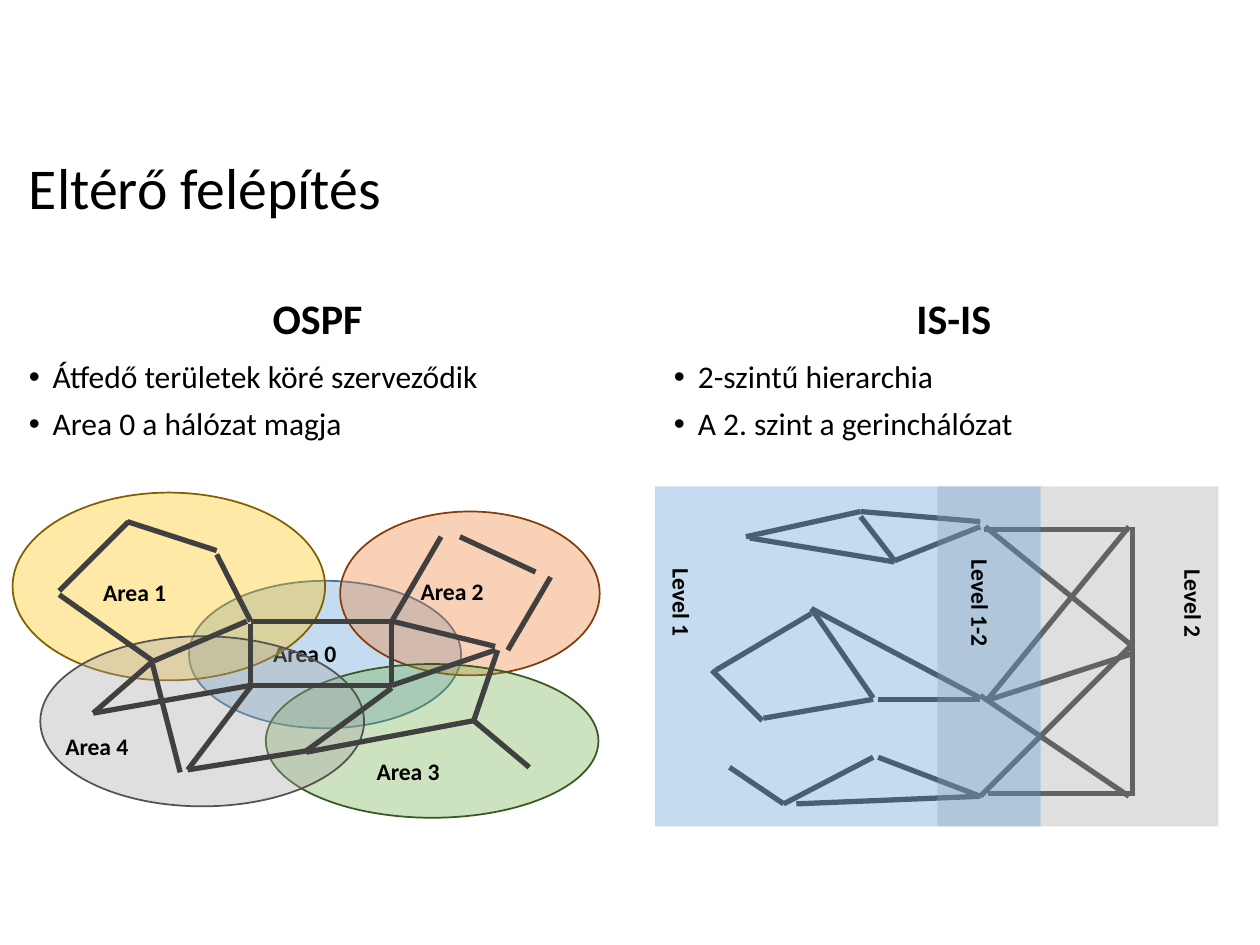
from lxml.etree import SubElement
from pptx import Presentation
from pptx.dml.color import RGBColor
from pptx.enum.shapes import MSO_CONNECTOR, MSO_SHAPE
from pptx.enum.text import MSO_ANCHOR, MSO_AUTO_SIZE, PP_ALIGN
from pptx.oxml.ns import qn
from pptx.util import Pt

PX = 9144
FONT = "Calibri"
OPACITY = 35

BLACK = RGBColor(0x00, 0x00, 0x00)
LINK = RGBColor(0x40, 0x40, 0x40)
BLUE = RGBColor(0x5B, 0x9B, 0xD5)
DARK_BLUE = RGBColor(0x43, 0x73, 0x9E)
YELLOW = RGBColor(0xFF, 0xC0, 0x00)
DARK_YELLOW = RGBColor(0x80, 0x60, 0x00)
ORANGE = RGBColor(0xED, 0x7D, 0x31)
DARK_ORANGE = RGBColor(0x84, 0x3C, 0x0B)
GREEN = RGBColor(0x70, 0xAD, 0x47)
DARK_GREEN = RGBColor(0x38, 0x57, 0x23)
GREY = RGBColor(0xA5, 0xA5, 0xA5)
DARK_GREY = RGBColor(0x52, 0x52, 0x52)

TITLE_STYLE = {"size": Pt(33), "bold": False}
HEADING_STYLE = {"size": Pt(24), "bold": True}
BULLET_STYLE = {"size": Pt(18), "bold": False}
LABEL_STYLE = {"size": Pt(13.5), "bold": True}

TITLE = "Eltérő felépítés"
COLUMNS = [
    (13, 478, "OSPF", ["Átfedő területek köré szerveződik", "Area 0 a hálózat magja"]),
    (525, 464, "IS-IS", ["2-szintű hierarchia", "A 2. szint a gerinchálózat"]),
]

AREAS = [
    ("Area 0", (150, 461, 216, 117), BLUE, DARK_BLUE, (207, 502)),
    ("Area 1", (10, 391, 248, 149), YELLOW, DARK_YELLOW, (72, 454)),
    ("Area 2", (270, 406, 206, 130), ORANGE, DARK_ORANGE, (324, 453)),
    ("Area 3", (211, 527, 264, 122), GREEN, DARK_GREEN, (289, 596)),
    ("Area 4", (32, 505, 257, 135), GREY, DARK_GREY, (42, 576)),
]

OSPF_LINKS = [
    (365, 426, 425, 454), (403, 516, 437, 458), (350, 426, 311, 493),
    (311, 493, 393, 513), (311, 493, 311, 544), (199, 493, 311, 493),
    (199, 544, 311, 544), (199, 495, 199, 546), (395, 516, 376, 572),
    (393, 516, 311, 544), (420, 609, 376, 572), (243, 596, 311, 546),
    (243, 597, 376, 572), (199, 545, 149, 611), (199, 544, 74, 566),
    (121, 527, 143, 613), (121, 525, 74, 566), (149, 611, 243, 596),
    (47, 472, 122, 525), (199, 493, 172, 440), (172, 437, 101, 414),
    (47, 469, 102, 414), (121, 525, 196, 493),
]

ISIS_LINKS = [
    (899, 513, 899, 418), (899, 632, 899, 511), (899, 513, 782, 418),
    (896, 632, 778, 552), (896, 418, 784, 555), (897, 513, 778, 632),
    (899, 630, 784, 630), (898, 519, 783, 556), (896, 420, 781, 420),
    (683, 406, 778, 414), (710, 445, 778, 418), (592, 426, 683, 406),
    (710, 445, 683, 410), (710, 446, 595, 427), (644, 483, 778, 554),
    (568, 532, 644, 487), (697, 555, 778, 555), (606, 570, 693, 555),
    (565, 532, 605, 572), (644, 483, 693, 554), (778, 632, 697, 601),
    (622, 638, 693, 601), (632, 638, 778, 632), (622, 638, 579, 609),
]

LEVELS = [
    ("Level 2", (744, 386, 223, 270), GREY, (910, 463, 74, 33)),
    ("Level 1", (520, 386, 306, 270), BLUE, (504, 462, 74, 33)),
    ("Level 1-2", None, None, (733, 463, 90, 33)),
]


def emu(*lengths):
    return [length * PX for length in lengths]


def format_font(paragraph, style):
    values = {"name": FONT, **style}
    for name, value in values.items():
        setattr(paragraph.font, name, value)
    paragraph.font.color.rgb = BLACK


def add_text(slide, box, lines, style, **frame_format):
    shape = slide.shapes.add_textbox(*emu(*box))
    frame = shape.text_frame
    frame.text = "\n".join(lines)
    for name, value in {"word_wrap": True, **frame_format}.items():
        setattr(frame, name, value)
    return shape


def add_label(slide, box, text, rotation=0):
    shape = add_text(slide, box, [text], LABEL_STYLE, word_wrap=False,
                     auto_size=MSO_AUTO_SIZE.SHAPE_TO_FIT_TEXT)
    format_font(shape.text_frame.paragraphs[0], LABEL_STYLE)
    shape.rotation = rotation


def add_zone(slide, preset, box, color, outline=None):
    shape = slide.shapes.add_shape(preset, *emu(*box))
    shape.shadow.inherit = False
    shape.fill.solid()
    shape.fill.fore_color.rgb = color
    fill_color = shape.fill._xPr.find(qn("a:solidFill"))[0]
    SubElement(fill_color, qn("a:alpha"), val=str(OPACITY * 1000))
    if outline is None:
        shape.line.fill.background()
    else:
        shape.line.color.rgb = outline
        shape.line.width = Pt(1)


def add_links(slide, links):
    for link in links:
        connector = slide.shapes.add_connector(MSO_CONNECTOR.STRAIGHT, *emu(*link))
        connector.line.color.rgb = LINK
        connector.line.width = Pt(3)
        SubElement(connector._element.spPr, qn("a:effectLst"))


def add_title(slide):
    title = slide.shapes.title
    box = dict(zip(("left", "top", "width", "height"), emu(13, 116, 937, 71)))
    for name, value in box.items():
        setattr(title, name, value)
    frame = title.text_frame
    frame.text = TITLE
    frame.auto_size = MSO_AUTO_SIZE.NONE
    frame.vertical_anchor = MSO_ANCHOR.MIDDLE
    paragraph = frame.paragraphs[0]
    paragraph.alignment = PP_ALIGN.LEFT
    paragraph.line_spacing = 0.9
    format_font(paragraph, TITLE_STYLE)


def add_column(slide, left, width, heading, bullets):
    shape = add_text(slide, (left, 225, width, 53), [heading], HEADING_STYLE,
                     vertical_anchor=MSO_ANCHOR.BOTTOM)
    paragraph = shape.text_frame.paragraphs[0]
    paragraph.alignment = PP_ALIGN.CENTER
    paragraph.line_spacing = 0.9
    format_font(paragraph, HEADING_STYLE)

    shape = add_text(slide, (left, 282, width, 120), bullets, BULLET_STYLE)
    for index, paragraph in enumerate(shape.text_frame.paragraphs):
        paragraph.line_spacing = 0.9
        paragraph.space_before = Pt(7.5 if index else 0)
        properties = paragraph._p.get_or_add_pPr()
        properties.set("marL", str(19 * PX))
        properties.set("indent", str(-19 * PX))
        SubElement(properties, qn("a:buFont"), typeface="Arial")
        SubElement(properties, qn("a:buChar"), char="•")
        format_font(paragraph, BULLET_STYLE)


def main():
    presentation = Presentation()
    presentation.slide_width, presentation.slide_height = emu(1000, 750)
    slide = presentation.slides.add_slide(presentation.slide_layouts[5])
    add_title(slide)
    for text, box, color, outline, label_corner in AREAS:
        add_zone(slide, MSO_SHAPE.OVAL, box, color, outline)
        add_label(slide, (*label_corner, 71, 33), text)
    for column in COLUMNS:
        add_column(slide, *column)
    add_links(slide, OSPF_LINKS + ISIS_LINKS)
    for text, box, color, label_box in LEVELS:
        if box:
            add_zone(slide, MSO_SHAPE.RECTANGLE, box, color)
        add_label(slide, label_box, text, rotation=90)
    presentation.save("out.pptx")


if __name__ == "__main__":
    main()
